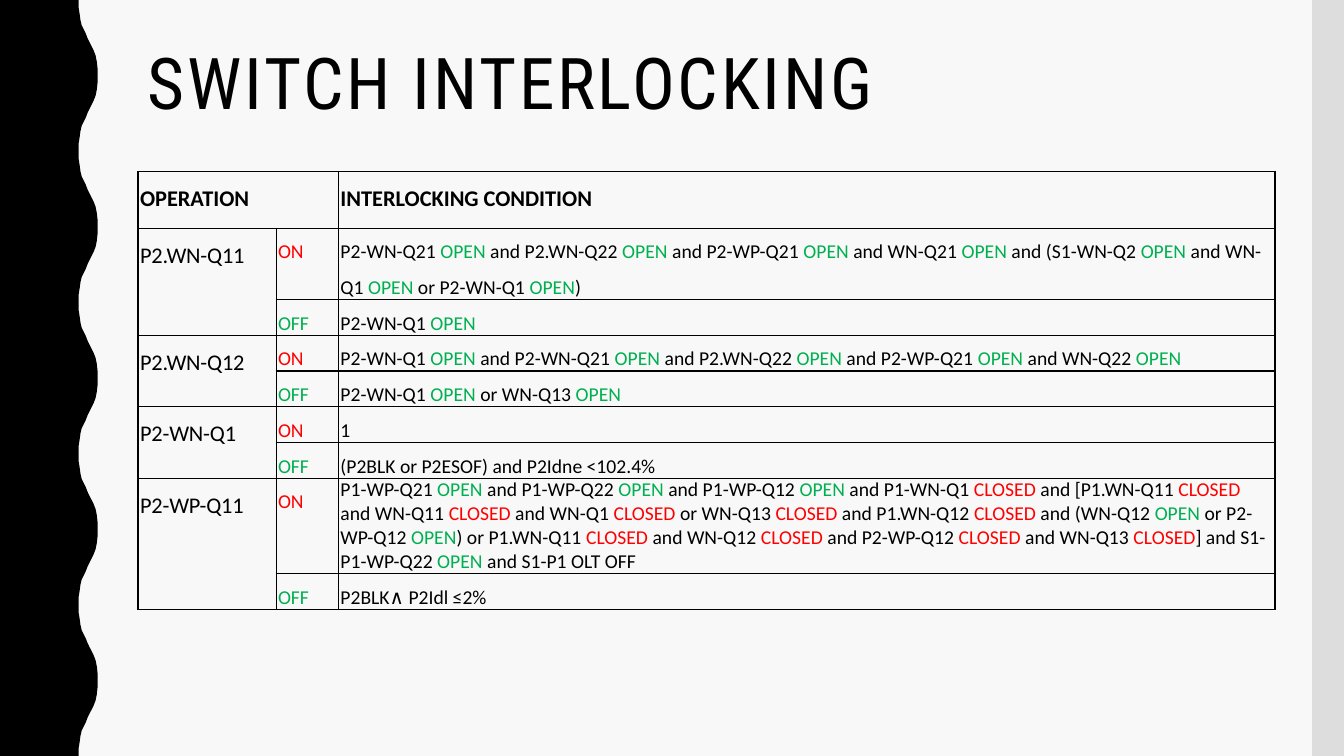
"""Build the switch interlocking slide: a wavy side band, a title and a condition table."""
from lxml.etree import SubElement
from pptx import Presentation
from pptx.dml.color import RGBColor
from pptx.enum.shapes import MSO_SHAPE
from pptx.enum.text import MSO_ANCHOR
from pptx.oxml.ns import qn
from pptx.util import Cm, Pt

TITLE = "SWITCH INTERLOCKING"
HEADINGS = ("OPERATION", "INTERLOCKING CONDITION")
INTERLOCKS = [
    ("P2.WN-Q11",
     "P2-WN-Q21 OPEN and P2.WN-Q22 OPEN and P2-WP-Q21 OPEN and WN-Q21 OPEN and "
     "(S1-WN-Q2 OPEN and WN-Q1 OPEN or P2-WN-Q1 OPEN)",
     "P2-WN-Q1 OPEN"),
    ("P2.WN-Q12",
     "P2-WN-Q1 OPEN and P2-WN-Q21 OPEN and P2.WN-Q22 OPEN and P2-WP-Q21 OPEN and WN-Q22 OPEN",
     "P2-WN-Q1 OPEN or WN-Q13 OPEN"),
    ("P2-WN-Q1",
     "1",
     "(P2BLK or P2ESOF) and P2Idne <102.4%"),
    ("P2-WP-Q11",
     "P1-WP-Q21 OPEN and P1-WP-Q22 OPEN and P1-WP-Q12 OPEN and P1-WN-Q1 CLOSED and "
     "[P1.WN-Q11 CLOSED and WN-Q11 CLOSED and WN-Q1 CLOSED or WN-Q13 CLOSED and "
     "P1.WN-Q12 CLOSED and (WN-Q12 OPEN or P2-WP-Q12 OPEN) or P1.WN-Q11 CLOSED and "
     "WN-Q12 CLOSED and P2-WP-Q12 CLOSED and WN-Q13 CLOSED] and S1-P1-WP-Q22 OPEN "
     "and S1-P1 OLT OFF",
     "P2BLK∧ P2Idl ≤2%"),
]
BLACK, RED, GREEN = "000000", "FF0000", "00B050"
STATE_COLORS = {"ON": RED, "OFF": GREEN, "CLOSED": RED, "OPEN": GREEN}
SINGLE_SPACED = "P2-WP-Q11"

SLIDE_WIDTH, SLIDE_HEIGHT = 33.87, 19.05
COLUMN_WIDTHS = (3.48, 1.57, 23.6)
ROW_HEIGHTS = (1.43, 1.8, 0.9, 0.9, 0.9, 0.9, 0.9, 2.4, 0.9)
WAVE_LENGTH, WAVE_COUNT = 3.81, 5
HALF_WAVE = [(1.98, 0), (1.98, 0.18), (2.01, 0.36), (2.03, 0.51), (2.06, 0.64),
             (2.11, 0.74), (2.16, 0.84), (2.21, 0.97), (2.26, 1.07), (2.31, 1.17),
             (2.36, 1.27), (2.41, 1.4), (2.44, 1.55), (2.46, 1.73), (2.46, 1.91)]

HEADING = {"name": "Calibri", "size": Pt(16), "bold": True}
OPERATION = {"name": "Calibri", "size": Pt(16), "bold": False}
CONDITION = {"name": "Calibri", "size": Pt(14), "bold": False}
TITLE_FORMAT = {"name": "Roboto Condensed", "size": Pt(51), "bold": False}


def paint(fill, color):
    fill.solid()
    fill.fore_color.rgb = RGBColor.from_string(color)


def add_run(paragraph, text, style, color=BLACK, tracking=0):
    run = paragraph.add_run()
    run.text = text
    for attribute, value in style.items():
        setattr(run.font, attribute, value)
    paint(run.font.fill, color)
    run.font._element.set("spc", str(tracking))


def finish_shape(shape, color):
    shape.shadow.inherit = False
    paint(shape.fill, color)
    shape.line.fill.background()


def write_cell(cell, text, style, tracking=0, spacing=1.5):
    paragraph = cell.text_frame.paragraphs[0]
    paragraph.line_spacing = spacing
    if text in STATE_COLORS:
        parts = [text]
    else:
        parts = text.replace("OPEN", "|OPEN|").replace("CLOSED", "|CLOSED|").split("|")
    for part in filter(None, parts):
        add_run(paragraph, part, style, STATE_COLORS.get(part, BLACK), tracking)


def frame_cell(cell):
    for side in ("left", "right"):
        setattr(cell, f"margin_{side}", Cm(0.05))
    cell.margin_top = cell.margin_bottom = 0
    cell.vertical_anchor = MSO_ANCHOR.TOP
    properties = cell._tc.get_or_add_tcPr()
    for edge in ("a:lnL", "a:lnR", "a:lnT", "a:lnB"):
        border = SubElement(properties, qn(edge), w=str(Pt(1)))
        SubElement(SubElement(border, qn("a:solidFill")), qn("a:srgbClr"), val=BLACK)
    cell.fill.background()


def add_side_bands(slide):
    wave = HALF_WAVE + [(x, WAVE_LENGTH - y) for x, y in reversed(HALF_WAVE[:-1])]
    edge = [(Cm(x), Cm(y + i * WAVE_LENGTH)) for i in range(WAVE_COUNT) for x, y in wave]
    builder = slide.shapes.build_freeform(0, 0)
    builder.add_line_segments(edge + [(0, Cm(SLIDE_HEIGHT))], close=True)
    finish_shape(builder.convert_to_shape(), BLACK)
    right_band = slide.shapes.add_shape(
        MSO_SHAPE.RECTANGLE, Cm(33.07), 0, Cm(0.8), Cm(SLIDE_HEIGHT))
    finish_shape(right_band, "DDDDDD")


def add_title(slide):
    frame = slide.shapes.add_textbox(Cm(3.48), Cm(1.07), Cm(28.27), Cm(4.14)).text_frame
    frame.word_wrap = True
    frame.paragraphs[0].line_spacing = 0.9
    add_run(frame.paragraphs[0], TITLE, TITLE_FORMAT, tracking=200)


def add_interlock_table(slide):
    table = slide.shapes.add_table(
        len(ROW_HEIGHTS), len(COLUMN_WIDTHS), Cm(3.48), Cm(4.32),
        Cm(sum(COLUMN_WIDTHS)), Cm(sum(ROW_HEIGHTS))).table
    table.first_row = table.horz_banding = False
    for column, width in zip(table.columns, COLUMN_WIDTHS):
        column.width = Cm(width)
    for row, height in zip(table.rows, ROW_HEIGHTS):
        row.height = Cm(height)
    for cell in table.iter_cells():
        frame_cell(cell)

    table.cell(0, 0).merge(table.cell(0, 1))
    for column, heading in zip((0, 2), HEADINGS):
        write_cell(table.cell(0, column), heading, HEADING)
    for index, (operation, on_condition, off_condition) in enumerate(INTERLOCKS):
        top = 1 + 2 * index
        table.cell(top, 0).merge(table.cell(top + 1, 0))
        write_cell(table.cell(top, 0), operation, OPERATION, -10)
        for row, state, condition in ((top, "ON", on_condition), (top + 1, "OFF", off_condition)):
            dense = operation == SINGLE_SPACED and state == "ON"
            write_cell(table.cell(row, 1), state, CONDITION, -10)
            write_cell(table.cell(row, 2), condition, CONDITION, spacing=1.0 if dense else 1.5)


def main():
    presentation = Presentation()
    presentation.slide_width, presentation.slide_height = Cm(SLIDE_WIDTH), Cm(SLIDE_HEIGHT)
    slide = presentation.slides.add_slide(presentation.slide_layouts[6])
    paint(slide.background.fill, "F8F8F8")
    add_side_bands(slide)
    add_title(slide)
    add_interlock_table(slide)
    presentation.save("out.pptx")


if __name__ == "__main__":
    main()
